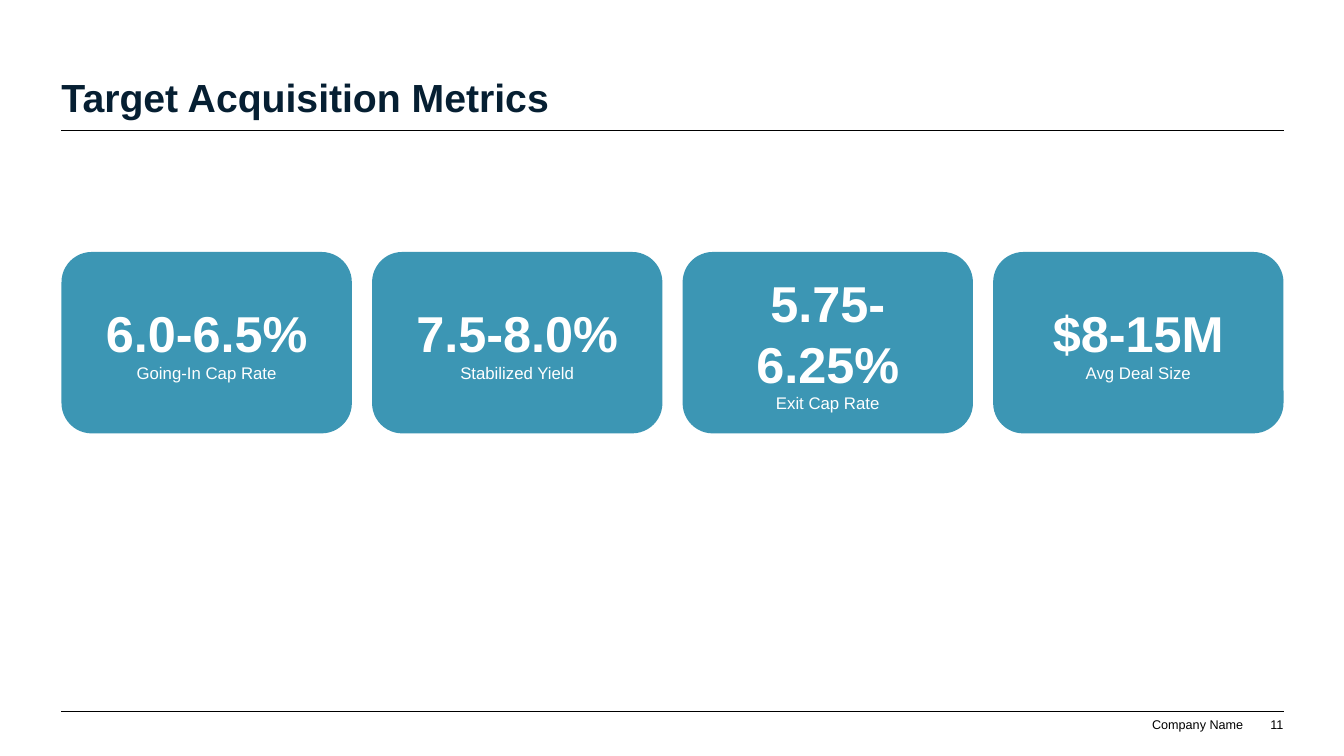
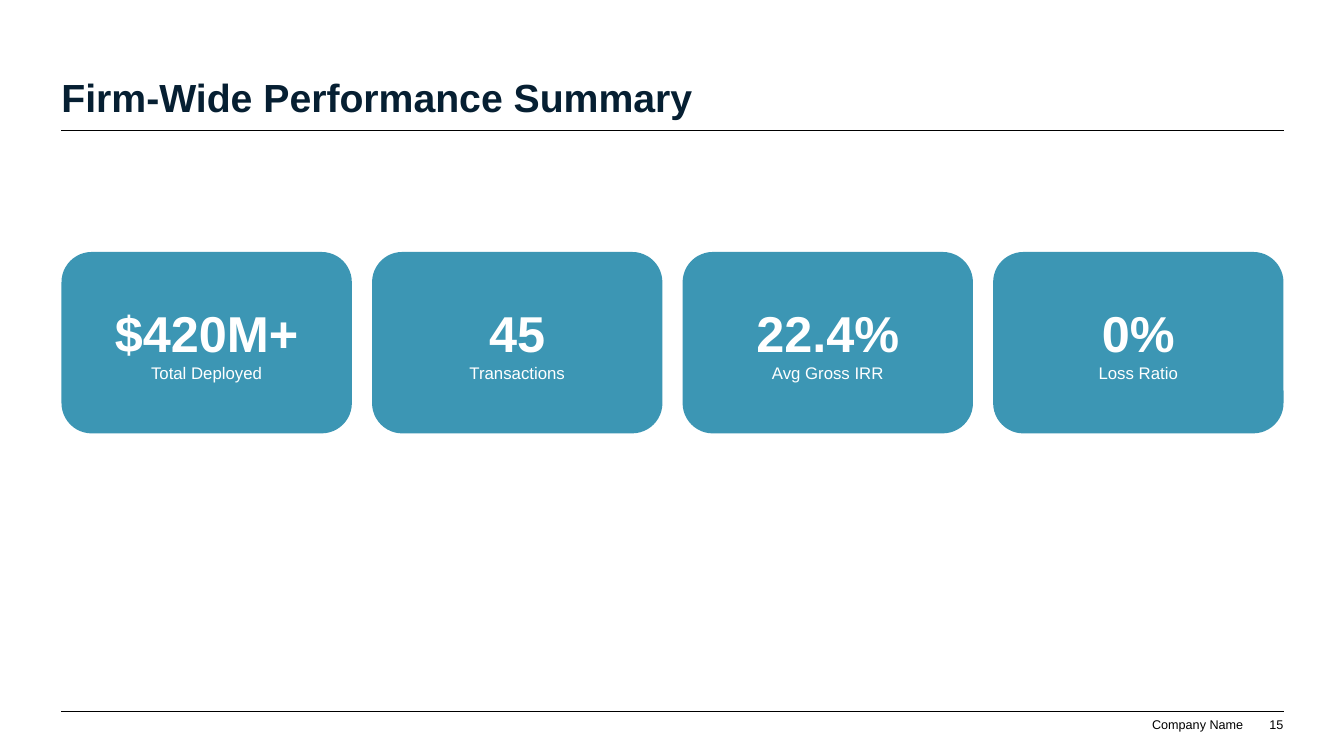
from lxml import etree
from pptx import Presentation
from pptx.dml.color import RGBColor
from pptx.enum.shapes import MSO_CONNECTOR as CONN, MSO_SHAPE as SHAPE
from pptx.enum.text import MSO_ANCHOR as ANCHOR, PP_ALIGN as ALIGN
from pptx.oxml.ns import qn
from pptx.util import Inches, Pt


def rgb(value):
    return RGBColor.from_string(value)


class Deck:
    FONT = "Arial"
    NAVY, TEAL, WHITE, BLACK = "061F32", "3C96B4", "FFFFFF", "000000"
    LEFT, WIDTH = 0.61, 12.12
    CARD_TOP, CARD_HEIGHT, CARD_GAP = 2.5, 1.8, 0.2

    def __init__(self):
        self.prs = Presentation()
        self.prs.slide_width = Inches(13.33)
        self.prs.slide_height = Inches(7.5)
        self.s = None

    def style(self, p, size, color, bold=False, align=ALIGN.LEFT):
        p.alignment = align
        for r in p.runs:
            r.font.name = self.FONT
            r.font.size = Pt(size)
            r.font.bold = bold
            r.font.color.rgb = rgb(color)

    def text(self, x, y, w, h, text, size, color, bold=False,
             align=ALIGN.LEFT, wrap=True):
        tf = self.s.shapes.add_textbox(
            Inches(x), Inches(y), Inches(w), Inches(h)).text_frame
        tf.margin_left = tf.margin_right = tf.margin_top = tf.margin_bottom = 0
        tf.word_wrap = wrap
        tf.vertical_anchor = ANCHOR.BOTTOM
        tf.text = text
        self.style(tf.paragraphs[0], size, color, bold, align)

    def rule(self, y):
        line = self.s.shapes.add_connector(
            CONN.STRAIGHT, Inches(self.LEFT), Inches(y),
            Inches(self.LEFT + self.WIDTH), Inches(y))
        line.line.color.rgb = rgb(self.BLACK)
        line.line.width = Pt(0.5)
        etree.SubElement(line._element.spPr, qn("a:effectLst"))

    def slide(self, title, number):
        self.s = self.prs.slides.add_slide(self.prs.slide_layouts[6])
        self.rule(1.29)
        self.rule(7.06)
        self.text(self.LEFT, 0.39, self.WIDTH, 0.8, title, 28, self.NAVY, True)
        self.text(11.42, 7.11, 0.91, 0.15, "Company Name", 9, self.BLACK,
                  align=ALIGN.RIGHT, wrap=False)
        self.text(12.37, 7.11, 0.36, 0.15, str(number), 9, self.BLACK,
                  align=ALIGN.RIGHT)

    def card(self, x, w, value, label):
        sp = self.s.shapes.add_shape(
            SHAPE.ROUNDED_RECTANGLE, Inches(x), Inches(self.CARD_TOP),
            Inches(w), Inches(self.CARD_HEIGHT))
        sp.shadow.inherit = False
        sp.fill.solid()
        sp.fill.fore_color.rgb = rgb(self.TEAL)
        sp.line.fill.background()
        tf = sp.text_frame
        tf.word_wrap = True
        tf.vertical_anchor = ANCHOR.MIDDLE
        tf.text = f"{value}\n{label}"
        head, caption = tf.paragraphs
        self.style(head, 36, self.WHITE, True, ALIGN.CENTER)
        self.style(caption, 12, self.WHITE, align=ALIGN.CENTER)

    def cards(self, metrics):
        w = (self.WIDTH - self.CARD_GAP * (len(metrics) - 1)) / len(metrics)
        for i, (value, label) in enumerate(metrics):
            self.card(self.LEFT + i * (w + self.CARD_GAP), w, value, label)


def main():
    deck = Deck()

    deck.slide("Target Acquisition Metrics", 11)
    deck.cards([
        ("6.0-6.5%", "Going-In Cap Rate"),
        ("7.5-8.0%", "Stabilized Yield"),
        ("5.75-6.25%", "Exit Cap Rate"),
        ("$8-15M", "Avg Deal Size"),
    ])

    deck.slide("Firm-Wide Performance Summary", 15)
    deck.cards([
        ("$420M+", "Total Deployed"),
        ("45", "Transactions"),
        ("22.4%", "Avg Gross IRR"),
        ("0%", "Loss Ratio"),
    ])

    deck.prs.save("out.pptx")


if __name__ == "__main__":
    main()
